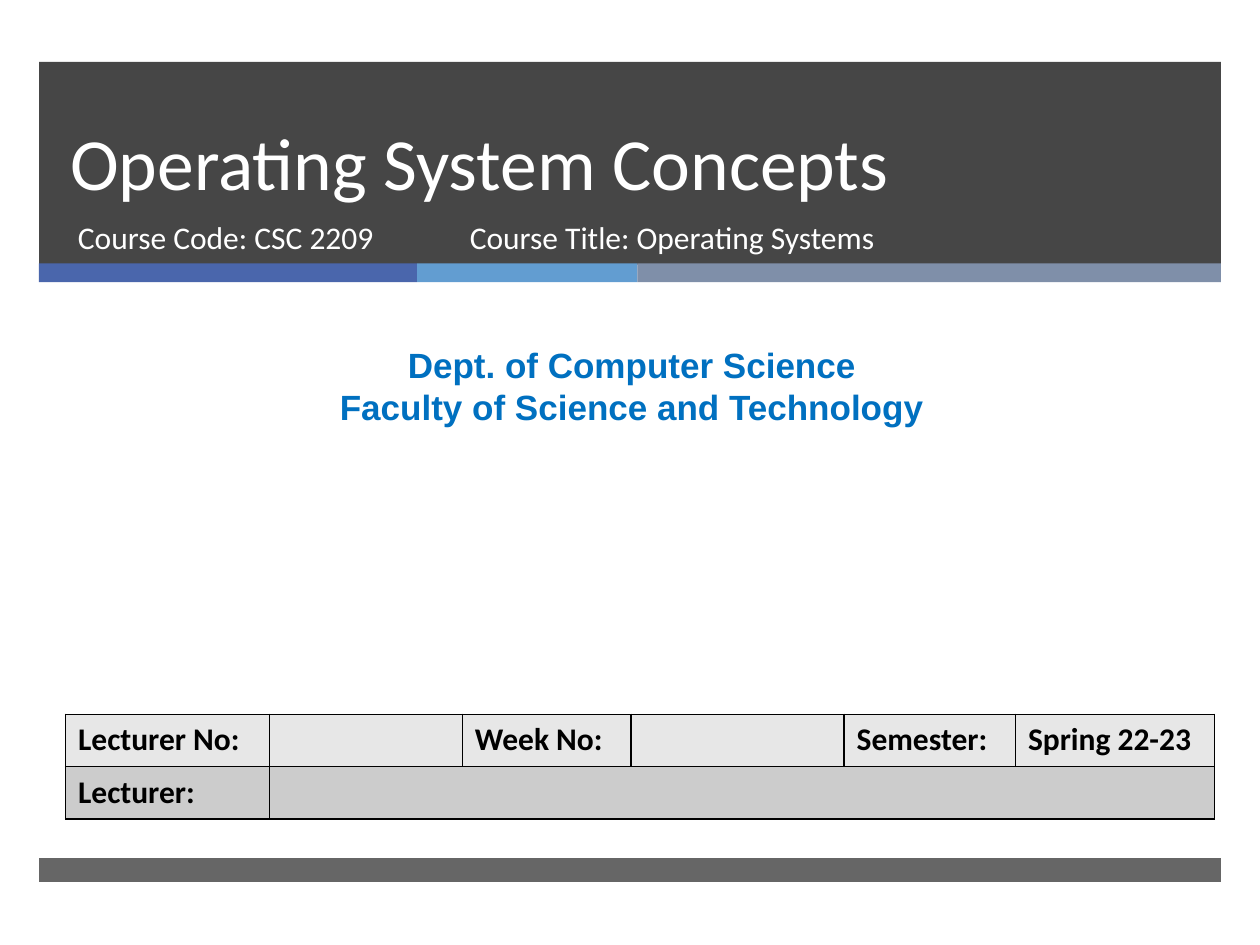
from pptx import Presentation
from pptx.dml.color import RGBColor
from pptx.enum.shapes import MSO_SHAPE
from pptx.enum.text import MSO_ANCHOR, PP_ALIGN
from pptx.oxml import parse_xml
from pptx.oxml.ns import nsdecls, qn
from pptx.util import Inches, Pt

WHITE = RGBColor(0xFF, 0xFF, 0xFF)
BLACK = RGBColor(0, 0, 0)
CHARCOAL = RGBColor(0x26, 0x26, 0x26)
INDIGO = RGBColor(0x4A, 0x66, 0xAC)
SKY = RGBColor(0x62, 0x9D, 0xD1)
SLATE = RGBColor(0x7F, 0x8F, 0xA9)
BLUE = RGBColor(0x00, 0x70, 0xC0)
ROW_FILLS = [RGBColor(0xE7, 0xE7, 0xE7), RGBColor(0xCC, 0xCC, 0xCC)]

COLUMNS, ROWS = 100, 75


def write_text(tf, text, font="Calibri", size=18, color=WHITE, bold=False,
               align=PP_ALIGN.LEFT, line_spacing=None):
    """Write each line of text as its own paragraph."""
    for i, line in enumerate(text.split("\n")):
        p = tf.paragraphs[0] if i == 0 else tf.add_paragraph()
        p.alignment = align
        p.line_spacing = line_spacing
        r = p.add_run()
        r.text = line
        r.font.name = font
        r.font.size = Pt(size)
        r.font.bold = bold
        r.font.color.rgb = color


class SlideBuilder:
    """Places elements on a grid of COLUMNS by ROWS."""

    def __init__(self, prs):
        self.column = prs.slide_width / COLUMNS
        self.row = prs.slide_height / ROWS
        self.slide = prs.slides.add_slide(prs.slide_layouts[6])

    def x(self, columns):
        return round(columns * self.column)

    def y(self, rows):
        return round(rows * self.row)

    def box(self, left, top, width, height):
        return self.x(left), self.y(top), self.x(width), self.y(height)

    def band(self, *box, color, opacity=100):
        sp = self.slide.shapes.add_shape(MSO_SHAPE.RECTANGLE, *self.box(*box))
        sp.shadow.inherit = False
        sp.line.fill.background()
        sp.fill.solid()
        sp.fill.fore_color.rgb = color
        if opacity < 100:
            rgb = sp.fill._xPr.find(".//" + qn("a:srgbClr"))
            rgb.append(parse_xml(
                f'<a:alpha {nsdecls("a")} val="{opacity * 1000}"/>'))

    def text(self, text, *box, anchor=MSO_ANCHOR.TOP, **style):
        tf = self.slide.shapes.add_textbox(*self.box(*box)).text_frame
        tf.word_wrap = True
        tf.vertical_anchor = anchor
        write_text(tf, text, **style)

    def table(self, rows, left, top, widths, row_height):
        box = self.box(left, top, sum(widths), row_height * len(rows))
        table = self.slide.shapes.add_table(len(rows), len(widths), *box).table
        for column, width in zip(table.columns, widths):
            column.width = self.x(width)
        for i, (labels, fill) in enumerate(zip(rows, ROW_FILLS)):
            table.rows[i].height = self.y(row_height)
            for j in range(len(widths)):
                cell = table.cell(i, j)
                cell.fill.solid()
                cell.fill.fore_color.rgb = fill
                self.cell_borders(cell)
                if labels[j:j + 1] and labels[j]:
                    write_text(cell.text_frame, labels[j], color=BLACK,
                               bold=True)
        return table

    def cell_borders(self, cell):
        tcPr = cell._tc.get_or_add_tcPr()
        for i, side in enumerate(("lnL", "lnR", "lnT", "lnB")):
            tcPr.insert(i, parse_xml(
                f'<a:{side} {nsdecls("a")} w="{Pt(1)}"><a:solidFill>'
                f'<a:srgbClr val="{BLACK}"/></a:solidFill></a:{side}>'))


def main():
    prs = Presentation()
    prs.slide_width, prs.slide_height = Inches(10), Inches(7.5)
    page = SlideBuilder(prs)

    margin, width = 3.1, 93.8
    page.band(margin, 4.9, width, 16.1, color=CHARCOAL, opacity=85)
    left = margin
    for stripe, color in ((30, INDIGO), (17.5, SKY), (46.3, SLATE)):
        page.band(left, 20.9, stripe, 1.5, color=color)
        left += stripe
    page.band(margin, 68.1, width, 1.9, color=CHARCOAL, opacity=70)

    page.text("Operating System Concepts", 4.6, 4.9, 85.4, 11.9, size=42,
              anchor=MSO_ANCHOR.BOTTOM, line_spacing=Pt(46))
    page.text("Course Code: CSC 2209", 5.2, 16.8, 30.5, 5.3)
    page.text("Course Title: Operating Systems", 36.3, 16.8, 45.5, 5.3)
    page.text("Dept. of Computer Science\nFaculty of Science and Technology",
              0.8, 26.8, 98.7, 7.7, font="Arial", size=20, color=BLUE,
              bold=True, align=PP_ALIGN.CENTER, line_spacing=Pt(24))

    table = page.table(
        [["Lecturer No:", "", "Week No:", "", "Semester:", "Spring 22-23"],
         ["Lecturer:"]],
        5.2, 56.7, [16.2, 15.3, 13.4, 16.9, 13.6, 15.8], 4.15)
    table.cell(1, 1).merge(table.cell(1, 5))

    prs.save("out.pptx")


if __name__ == "__main__":
    main()
